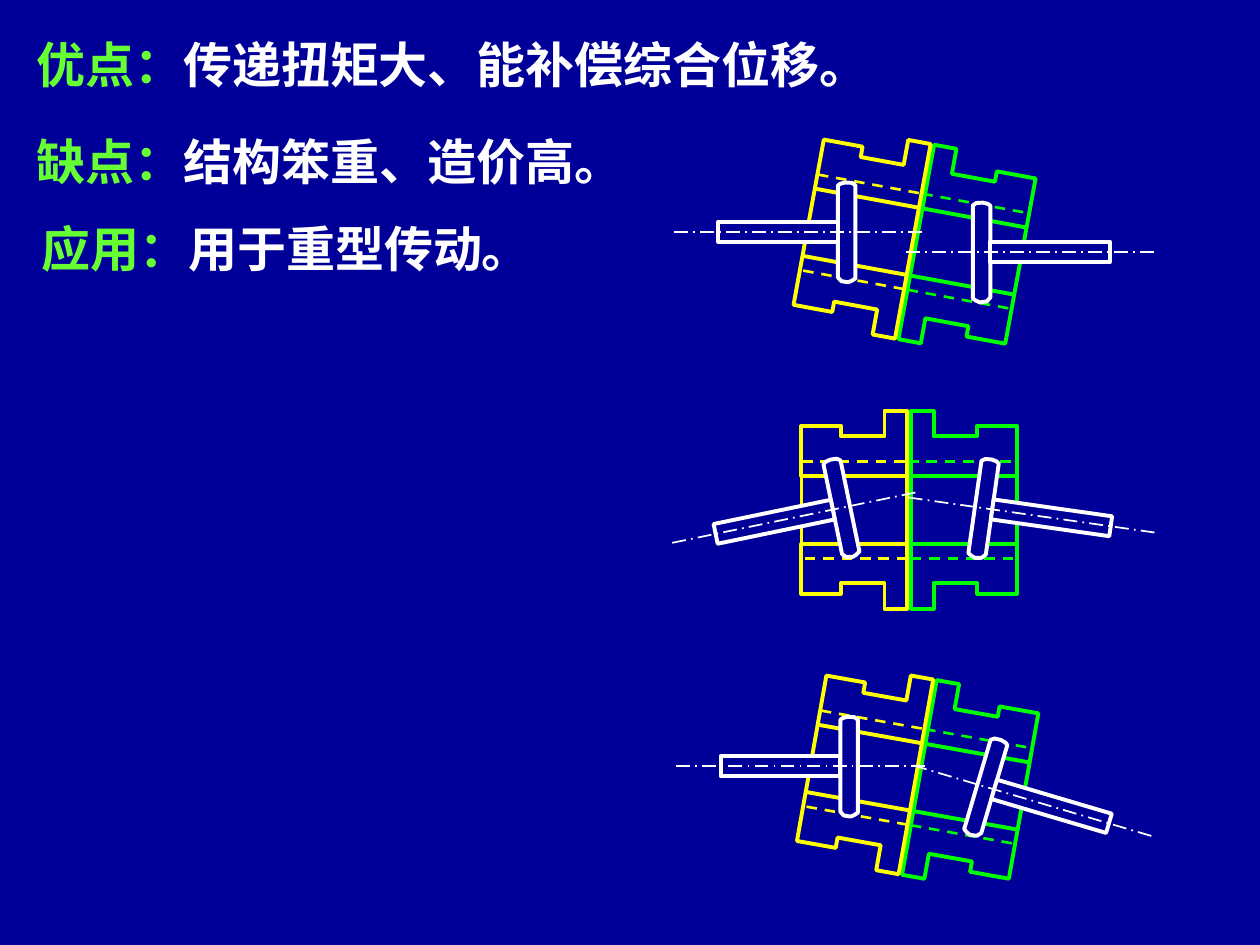
import math
from dataclasses import dataclass

import pptx
import pptx.dml.color
import pptx.enum.dml
import pptx.enum.shapes
import pptx.enum.text
import pptx.oxml
import pptx.oxml.ns
import pptx.util
from pptx.util import Pt


@dataclass(frozen=True)
class Theme:
    navy: str = "000099"
    lime: str = "66FF33"
    white: str = "FFFFFF"
    yellow: str = "FFFF00"
    green: str = "00FF00"
    font: str = "Noto Sans CJK SC"
    body: float = 28
    outline: float = 2.25
    hidden: float = 1.5
    axis: float = 1


theme = Theme()
rgb = pptx.dml.color.RGBColor.from_string
dashes = pptx.enum.dml.MSO_LINE

deck = pptx.Presentation()
deck.slide_width, deck.slide_height = Pt(720), Pt(540)
slide = deck.slides.add_slide(deck.slide_layouts[6])
slide.background.fill.solid()
slide.background.fill.fore_color.rgb = rgb(theme.navy)


def add_text(paragraph, text, *, colour, size=theme.body, bold=True):
    run = paragraph.add_run()
    run.text = text
    run.font.size, run.font.bold = Pt(size), bold
    run.font.name = theme.font
    run.font.color.rgb = rgb(colour)
    east_asian = pptx.oxml.parse_xml(
        f'<a:ea {pptx.oxml.ns.nsdecls("a")} typeface="{theme.font}"/>')
    run.font.color  # the fill and latin elements come before a:ea
    run._r.get_or_add_rPr().append(east_asian)


def draw(points, frame, colour, width, dash=None, fill=None):
    """Draw a line (two points) or closed outline in a (x, y, side, degrees) frame.

    Side -1 mirrors the points left to right before they are turned.
    """
    x0, y0, side, degrees = frame
    cos, sin = math.cos(math.radians(degrees)), math.sin(math.radians(degrees))
    placed = [(Pt(x0 + side * x * cos - y * sin), Pt(y0 + side * x * sin + y * cos))
              for x, y in points]
    if len(placed) == 2:
        part = slide.shapes.add_connector(
            pptx.enum.shapes.MSO_CONNECTOR.STRAIGHT, *placed[0], *placed[1])
        part._element.spPr.append(
            pptx.oxml.parse_xml(f'<a:effectLst {pptx.oxml.ns.nsdecls("a")}/>'))
    else:
        builder = slide.shapes.build_freeform(*placed[0])
        builder.add_line_segments(placed[1:], close=True)
        part = builder.convert_to_shape()
        part.shadow.inherit = False
        if fill:
            part.fill.solid()
            part.fill.fore_color.rgb = rgb(fill)
        else:
            part.fill.background()
    part.line.color.rgb = rgb(colour)
    part.line.width = Pt(width)
    if dash:
        part.line.dash_style = dash


remarks = [
    (20.9, 19.4, 479, "优点：", "传递扭矩大、能补偿综合位移。"),
    (20.9, 74.9, 383, "缺点：", "结构笨重、造价高。"),
    (23.8, 124.6, 333, "应用：", "用于重型传动。"),
]
for left, top, width, label, remark in remarks:
    frame = slide.shapes.add_textbox(Pt(left), Pt(top), Pt(width), Pt(34)).text_frame
    frame.margin_left = frame.margin_right = frame.margin_top = frame.margin_bottom = 0
    frame.word_wrap = True
    frame.vertical_anchor = pptx.enum.text.MSO_ANCHOR.MIDDLE
    add_text(frame.paragraphs[0], label, colour=theme.lime)
    add_text(frame.paragraphs[0], remark, colour=theme.white)

# Right-hand half of a coupling, measured from the coupling centre
joint, rim = 1, 61.5
bore, gear_line = 19.5, 27.75
sleeve_wall = [(rim, 48), (39, 48), (39, 42), (14, 42), (14, 56.5),
               (joint, 56.5), (joint, bore), (rim, bore)]

# Right-hand shaft, measured from where it meets its hub
shaft_length, shaft_thickness = 68.4, 11.5
hub = [(-10, 26.6), (-10, -26.6), (-8, -28), (-4.3, -28.2), (-1.4, -27.5), (0, -26.4),
       (0, 26), (-2, 28.2), (-5.8, 28.8), (-7.9, 28), (-10, 26.6)]
centre_line = [(-48.2, 0), (94.3, 0)]

# Coupling centre and tilt, then (hub x, hub y, side, tilt) of both shafts
couplings = [
    (522.6, 138.1, 10.4, [(565.9, 144, 1, 0), (478.8, 132.5, -1, 0)]),
    (519.5, 291.3, 0, [(475.9, 291.2, -1, -11.7), (567, 291.1, 1, 8.1)]),
    (524.4, 444.1, 10.1, [(480.2, 437.8, -1, 0), (568.1, 451.1, 1, 16.5)]),
]
for x, y, tilt, shafts in couplings:
    for side, colour in ((1, theme.green), (-1, theme.yellow)):
        sleeve = (x, y, side, tilt)
        for half in (-1, 1):
            draw([(px, half * py) for px, py in sleeve_wall], sleeve, colour, theme.outline)
            shift = -1.6 * side if half < 0 else 0
            draw([(joint + shift, half * gear_line), (rim + shift, half * gear_line)],
                 sleeve, colour, theme.hidden, dashes.DASH)
        for edge in (joint, rim):
            draw([(edge, bore), (edge, -bore)], sleeve, colour, theme.outline)

    for shaft in shafts:
        hub_x, hub_y, side, turn = shaft
        draw(hub, shaft, theme.white, theme.outline, fill=theme.navy)
        reach = side * shaft_length / 2
        middle_x = hub_x + reach * math.cos(math.radians(turn))
        middle_y = hub_y + reach * math.sin(math.radians(turn))
        rod = slide.shapes.add_shape(
            pptx.enum.shapes.MSO_SHAPE.RECTANGLE,
            Pt(middle_x - shaft_length / 2), Pt(middle_y - shaft_thickness / 2),
            Pt(shaft_length), Pt(shaft_thickness))
        rod.rotation = turn
        rod.shadow.inherit = False
        rod.fill.solid()
        rod.fill.fore_color.rgb = rgb(theme.navy)
        rod.line.color.rgb = rgb(theme.white)
        rod.line.width = Pt(theme.outline)
        draw(centre_line, shaft, theme.white, theme.axis, dashes.LONG_DASH_DOT)

deck.save("out.pptx")
